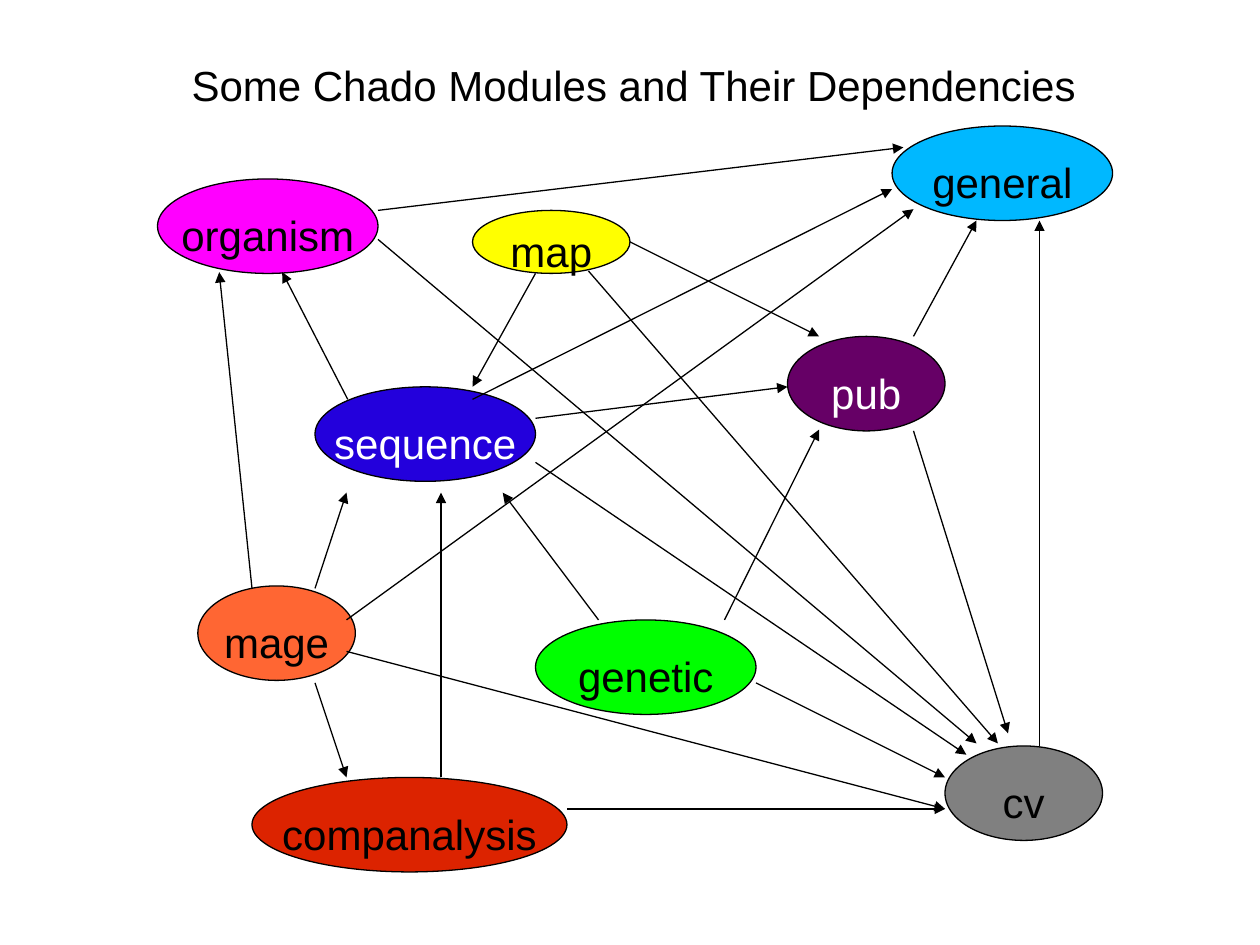
from lxml.etree import SubElement
from pptx import Presentation
from pptx.dml.color import RGBColor
from pptx.enum.shapes import MSO_CONNECTOR, MSO_SHAPE
from pptx.enum.text import MSO_ANCHOR, MSO_AUTO_SIZE, PP_ALIGN
from pptx.oxml.ns import qn
from pptx.util import Inches, Pt

BLACK, WHITE = "000000", "FFFFFF"

MODULES = [
    ("general", (7.08, 1, 1.75, 0.75), "00B8FF", BLACK),
    ("cv", (7.5, 5.92, 1.25, 0.75), "808080", BLACK),
    ("pub", (6.25, 2.67, 1.25, 0.75), "660066", WHITE),
    ("organism", (1.25, 1.42, 1.75, 0.75), "FF00FF", BLACK),
    ("map", (3.75, 1.67, 1.25, 0.5), "FFFF00", BLACK),
    ("genetic", (4.25, 4.92, 1.75, 0.75), "00FF00", BLACK),
    ("mage", (1.57, 4.65, 1.25, 0.75), "FF6633", BLACK),
    ("companalysis", (2, 6.17, 2.5, 0.75), "DC2300", BLACK),
    ("sequence", (2.5, 3.07, 1.75, 0.75), "2300DC", WHITE),
]

DEPENDENCIES = {
    "cv": [((8.25, 5.92), (8.25, 1.75))],
    "pub": [((7.25, 2.67), (7.75, 1.75)), ((7.25, 3.42), (8, 5.82))],
    "organism": [((3, 1.67), (7.17, 1.17)), ((3, 1.9), (7.75, 5.9))],
    "map": [
        ((4.25, 2.17), (3.75, 3.07)),
        ((5, 1.92), (6.5, 2.67)),
        ((4.67, 2.15), (7.92, 5.9)),
    ],
    "genetic": [
        ((4.75, 4.92), (3.99, 3.91)),
        ((5.75, 4.92), (6.5, 3.41)),
        ((6, 5.42), (7.5, 6.17)),
    ],
    "mage": [
        ((2, 4.67), (1.74, 2.16)),
        ((2.5, 4.67), (2.75, 3.91)),
        ((2.75, 5.17), (7.5, 6.42)),
        ((2.75, 4.92), (7.25, 1.66)),
        ((2.5, 5.42), (2.75, 6.17)),
    ],
    "companalysis": [((3.5, 6.17), (3.5, 3.91)), ((4.5, 6.42), (7.5, 6.42))],
    "sequence": [
        ((2.76, 3.17), (2.24, 2.16)),
        ((3.75, 3.17), (7.08, 1.5)),
        ((4.25, 3.67), (7.67, 5.99)),
        ((4.25, 3.32), (6.25, 3.07)),
    ],
}


def rgb(hex_color):
    """Turn a hex string into a colour."""
    return RGBColor.from_string(hex_color)


def write_text(shape, text, color=BLACK, size=24, align=PP_ALIGN.CENTER,
               anchor=MSO_ANCHOR.MIDDLE, spacing=1.0):
    """Write one formatted, unwrapped paragraph into a shape."""
    frame = shape.text_frame
    frame.text = text
    frame.word_wrap = False
    frame.vertical_anchor = anchor
    paragraph = frame.paragraphs[0]
    paragraph.alignment = align
    paragraph.line_spacing = spacing
    paragraph.font.name = "Arial"
    paragraph.font.size = Pt(size)
    paragraph.font.color.rgb = rgb(color)


def add_title(slide, text):
    """Place and format the slide title."""
    title = slide.shapes.title
    title.left, title.top = Inches(1.42), Inches(0.42)
    title.width, title.height = Inches(7.22), Inches(0.5)
    write_text(title, text, align=PP_ALIGN.LEFT, anchor=MSO_ANCHOR.TOP)
    title.text_frame.auto_size = MSO_AUTO_SIZE.SHAPE_TO_FIT_TEXT


def add_module(slide, name, bounds, fill, color):
    """Draw a module as a labelled ellipse."""
    module = slide.shapes.add_shape(MSO_SHAPE.OVAL, *map(Inches, bounds))
    module.shadow.inherit = False
    module.fill.solid()
    module.fill.fore_color.rgb = rgb(fill)
    module.line.color.rgb = rgb(BLACK)
    module.line.width = Pt(0.75)
    write_text(module, name, color=color, spacing=1.34)


def add_dependency(slide, start, end):
    """Draw an arrow from a module to one it depends on."""
    arrow = slide.shapes.add_connector(
        MSO_CONNECTOR.STRAIGHT, *map(Inches, start + end))
    arrow.line.color.rgb = rgb(BLACK)
    arrow.line.width = Pt(0.75)
    properties = arrow.line._get_or_add_ln()
    SubElement(properties, qn("a:tailEnd"), type="triangle")
    SubElement(properties.getparent(), qn("a:effectLst"))


def main():
    """Build and save the module diagram."""
    presentation = Presentation()
    presentation.slide_width = Inches(10)
    presentation.slide_height = Inches(7.5)
    slide = presentation.slides.add_slide(presentation.slide_layouts[5])
    add_title(slide, "Some Chado Modules and Their Dependencies")
    for name, bounds, fill, color in MODULES:
        add_module(slide, name, bounds, fill, color)
        for start, end in DEPENDENCIES.get(name, []):
            add_dependency(slide, start, end)
    presentation.save("out.pptx")


if __name__ == "__main__":
    main()
